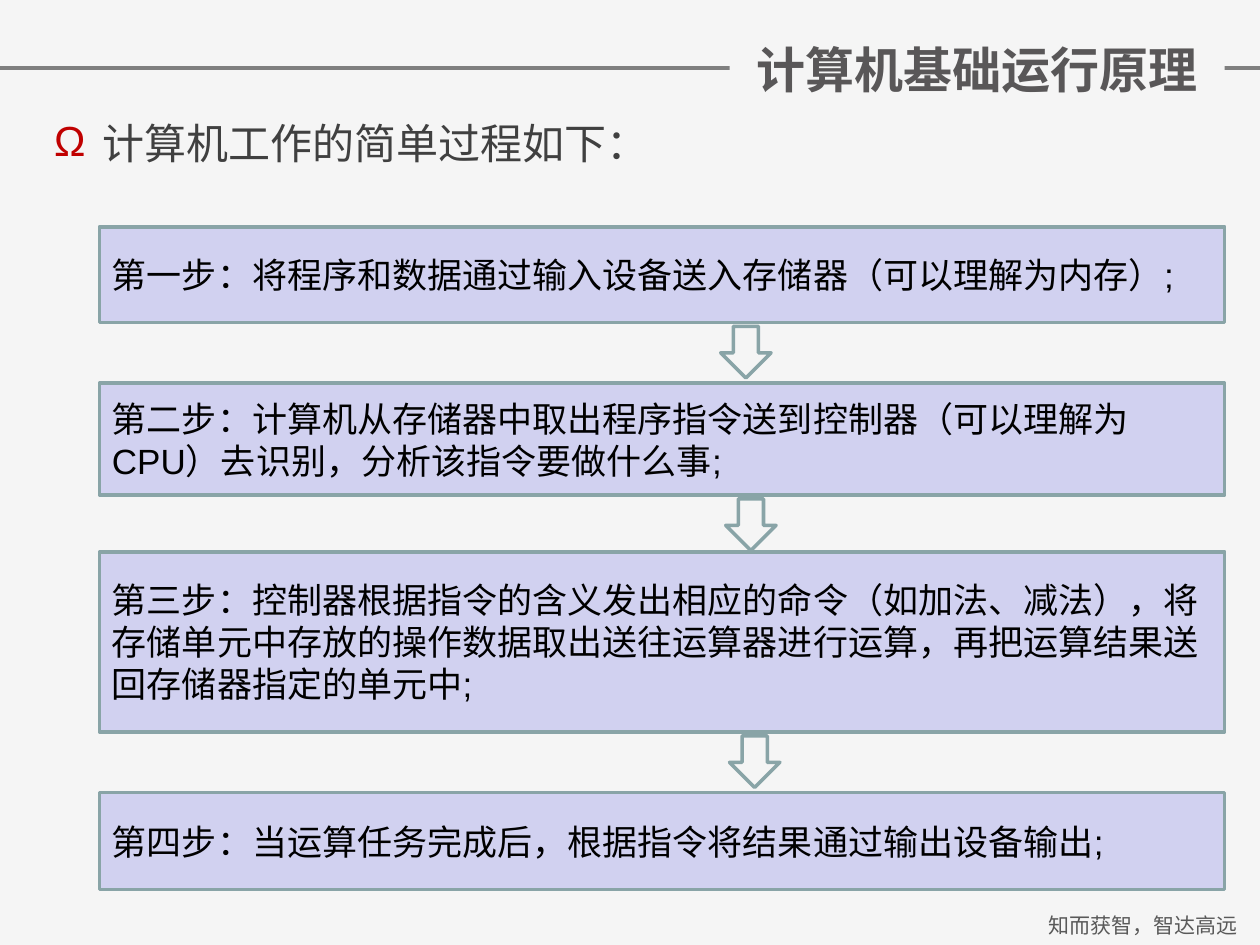
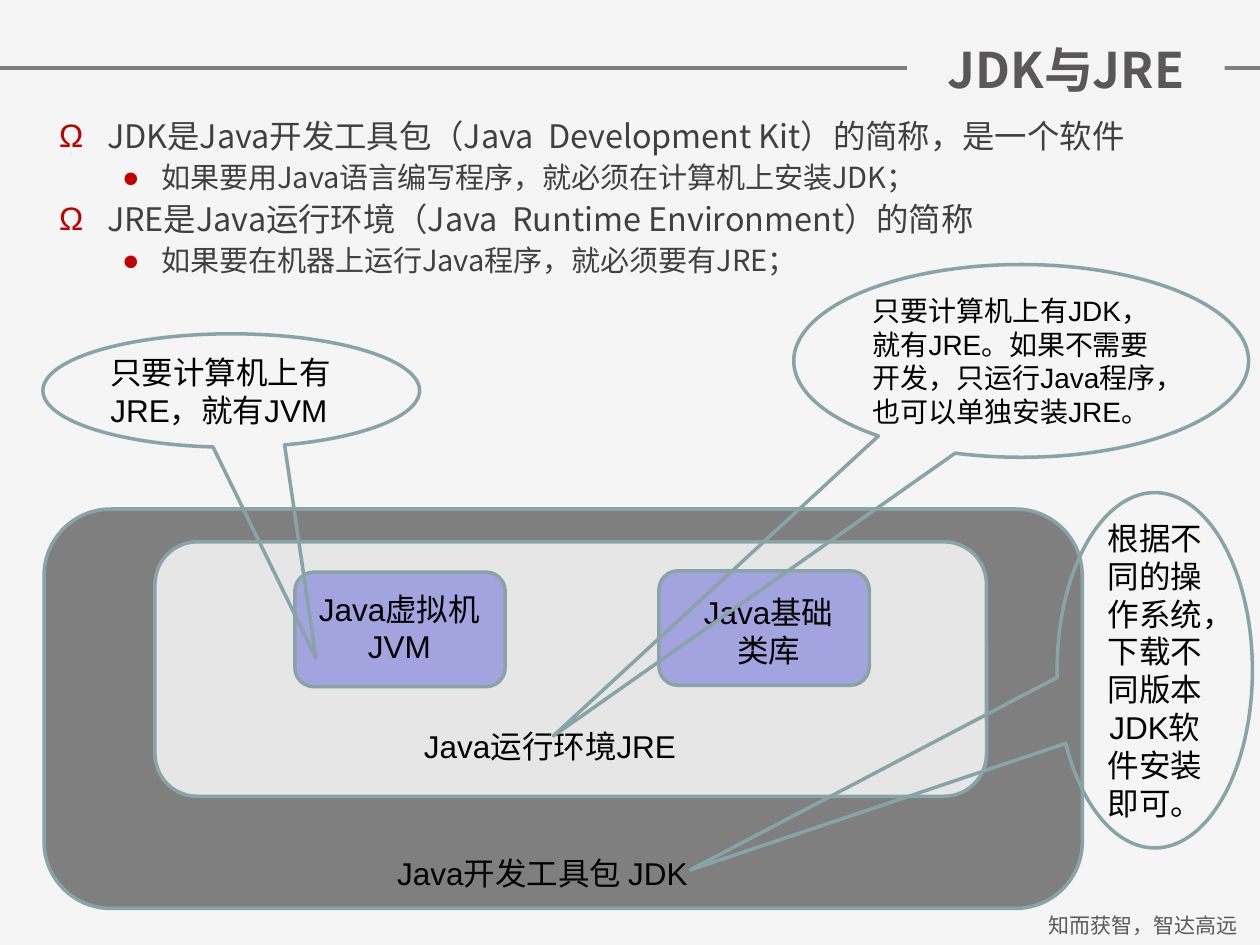
from lxml import etree
from pptx import Presentation
from pptx.dml.color import RGBColor
from pptx.enum.shapes import MSO_CONNECTOR, MSO_SHAPE
from pptx.enum.text import MSO_ANCHOR, MSO_AUTO_SIZE, PP_ALIGN
from pptx.oxml.ns import qn
from pptx.util import Inches, Pt

LEFT, CENTER = PP_ALIGN.LEFT, PP_ALIGN.CENTER
TOP, MIDDLE = MSO_ANCHOR.TOP, MSO_ANCHOR.MIDDLE
RECTANGLE, ROUNDED = MSO_SHAPE.RECTANGLE, MSO_SHAPE.ROUNDED_RECTANGLE
DOWN_ARROW, CALLOUT = MSO_SHAPE.DOWN_ARROW, MSO_SHAPE.OVAL_CALLOUT

TITLE_FONT, BODY_FONT = "Noto Sans CJK SC", "Arial"
BACKGROUND, RULE, OUTLINE, BULLET = "F5F5F5", "7F7F7F", "89A4A7", "C00000"
TITLE_STYLE = {"size": 28, "font": TITLE_FONT, "color": "595758", "bold": True}
FOOTER_STYLE = {"size": 12, "font": TITLE_FONT, "color": "595959"}
BLACK = "000000"

FOOTER = "知而获智，智达高远"
TITLE_RIGHT = 9.72

PROCESS_TITLE = ("计算机基础运行原理", 3.93)
PROCESS_INTRO = [("计算机工作的简单过程如下：", 0)]
STEP_LEFT, STEP_WIDTH, STEP_FILL = 0.79, 8.93, "D1D1F0"
ARROW_SIZE, ARROW_GAP = (0.4, 0.41), 0.03
# text, top, height, left of the arrow that follows
STEPS = [
    ("第一步：将程序和数据通过输入设备送入存储器（可以理解为内存）;", 1.8, 0.76, 5.72),
    ("第二步：计算机从存储器中取出程序指令送到控制器（可以理解为CPU）去识别，分析该指令要做什么事;",
     3.04, 0.89, 5.76),
    ("第三步：控制器根据指令的含义发出相应的命令（如加法、减法），将存储单元中存放的操作数据"
     "取出送往运算器进行运算，再把运算结果送回存储器指定的单元中;", 4.38, 1.43, 5.79),
    ("第四步：当运算任务完成后，根据指令将结果通过输出设备输出;", 6.29, 0.77, None),
]

JDK_TITLE = ("JDK与JRE", 2.52)
JDK_POINTS = [
    ("JDK是Java开发工具包（Java  Development Kit）的简称，是一个软件", 0),
    ("如果要用Java语言编写程序，就必须在计算机上安装JDK；", 1),
    ("JRE是Java运行环境（Java  Runtime Environment）的简称", 0),
    ("如果要在机器上运行Java程序，就必须要有JRE；", 1),
]
NESTED_PANELS = [
    ((0.35, 4.04, 8.24, 3.17), "7F7F7F"),
    ((1.23, 4.3, 6.6, 2.02), "E6E6E6"),
    ((2.34, 4.54, 1.67, 0.91), "A3A3E0"),
    ((5.23, 4.53, 1.67, 0.91), "A3A3E0"),
]
PANEL_LABELS = [
    (["Java开发工具包 JDK"], (2.58, 6.73, 3.45, 0.4)),
    (["Java运行环境JRE"], (2.64, 5.72, 3.45, 0.4)),
    (["Java虚拟机", "JVM"], (2.4, 4.63, 1.54, 0.7)),
    (["Java基础类库"], (5.46, 4.66, 1.28, 0.7)),
]
# text, place, pointer offset, size, alignment
CALLOUTS = [
    ("只要计算机上有JRE，就有JVM", (0.34, 2.65, 2.99, 0.9), (0.225, 2.359), 18, LEFT),
    ("只要计算机上有JDK，就有JRE。如果不需要开发，只运行Java程序，也可以单独安装JRE。",
     (6.3, 2.1, 3.61, 1.53), (-1.029, 1.946), 16, LEFT),
    ("根据不同的操作系统，下载不同版本JDK软件安装即可。",
     (8.39, 3.91, 1.55, 2.82), (-2.379, 0.562), 18, CENTER),
]

# level formats: (indent, hanging, bullet)
LEVELS = [(0.38, 0.38, "Ω"), (0.81, 0.31, "●")]
# per-level (size, space before), then line spacing
LARGE_LIST = ([(24, 6)], 1.0)
COMPACT_LIST = ([(18.5, 5), (16.6, 4.5)], 0.9)


def rgb(value):
    return RGBColor.from_string(value)


def set_all(target, formats):
    for name, value in formats.items():
        setattr(target, name, value)


def place(shape, box):
    set_all(shape, dict(zip(("left", "top", "width", "height"), map(Inches, box))))


def style_span(span, size, font, color, bold=False):
    set_all(span.font, {"size": Pt(size), "name": font, "bold": bold})
    span.font.color.rgb = rgb(color)
    properties = span.font._element
    etree.SubElement(properties, qn("a:ea"), typeface=TITLE_FONT)


def write(shape, lines, style, align=LEFT, anchor=MIDDLE):
    """Fill a shape with one paragraph per line and return the paragraphs."""
    frame = shape.text_frame
    set_all(frame, {
        "word_wrap": True, "auto_size": MSO_AUTO_SIZE.NONE, "vertical_anchor": anchor,
        "margin_left": Inches(0.1), "margin_right": Inches(0.1),
        "margin_top": Inches(0.05), "margin_bottom": Inches(0.05),
    })
    frame.text = "\n".join(lines)
    for para in frame.paragraphs:
        para.alignment = align
        for span in para.runs:
            style_span(span, **style)
    return frame.paragraphs


def add_label(page, lines, box, style):
    label = page.shapes.add_textbox(*map(Inches, box))
    write(label, lines, style, CENTER, TOP)


def add_outlined(page, kind, box, fill=None, adjustments=()):
    shape = page.shapes.add_shape(kind, *map(Inches, box))
    shape.shadow.inherit = False
    if fill:
        shape.fill.solid()
        shape.fill.fore_color.rgb = rgb(fill)
    else:
        shape.fill.background()
    shape.line.color.rgb = rgb(OUTLINE)
    shape.line.width = Pt(2)
    for index, value in enumerate(adjustments):
        shape.adjustments[index] = value
    return shape


def add_rule_behind(page):
    rule = page.shapes.add_connector(
        MSO_CONNECTOR.STRAIGHT, 0, Inches(0.54), Inches(10), Inches(0.54))
    rule.line.color.rgb = rgb(RULE)
    rule.line.width = Pt(2)
    etree.SubElement(rule.element.spPr, qn("a:effectLst"))
    rule.element.getparent().insert(2, rule.element)


def add_page(deck, title_text, title_width):
    page = deck.slides.add_slide(deck.slide_layouts[1])
    page.background.fill.solid()
    page.background.fill.fore_color.rgb = rgb(BACKGROUND)
    add_rule_behind(page)
    add_label(page, [FOOTER], (8.15, 7.19, 1.85, 0.3), FOOTER_STYLE)
    title = page.shapes.title
    place(title, (TITLE_RIGHT - title_width, 0.26, title_width, 0.57))
    title.fill.solid()
    title.fill.fore_color.rgb = rgb(BACKGROUND)
    write(title, [title_text], TITLE_STYLE, CENTER)
    return page


def fill_list(page, points, box, list_format):
    body = page.placeholders[1]
    place(body, box)
    sizes, line_spacing = list_format
    style = {"size": sizes[0][0], "font": TITLE_FONT, "color": "404040"}
    paras = write(body, [text for text, _ in points], style, anchor=TOP)
    for para, (_, level) in zip(paras, points):
        size, space_before = sizes[level]
        indent, hanging, bullet = LEVELS[level]
        set_all(para, {"level": level, "line_spacing": line_spacing,
                       "space_before": Pt(space_before), "space_after": Pt(0)})
        para.runs[0].font.size = Pt(size)
        properties = para._p.get_or_add_pPr()
        properties.set("marL", str(Inches(indent)))
        properties.set("indent", str(-Inches(hanging)))
        color = etree.SubElement(properties, qn("a:buClr"))
        etree.SubElement(color, qn("a:srgbClr"), val=BULLET)
        etree.SubElement(properties, qn("a:buFont"), typeface=BODY_FONT)
        etree.SubElement(properties, qn("a:buChar"), char=bullet)


def body_style(size):
    return {"size": size, "font": BODY_FONT, "color": BLACK}


def build_process_page(deck):
    page = add_page(deck, *PROCESS_TITLE)
    fill_list(page, PROCESS_INTRO, (0.33, 0.88, 9.39, 0.67), LARGE_LIST)
    for text, top, height, arrow_left in STEPS:
        step = add_outlined(page, RECTANGLE, (STEP_LEFT, top, STEP_WIDTH, height), STEP_FILL)
        write(step, [text], body_style(20))
        if arrow_left:
            add_outlined(page, DOWN_ARROW, (arrow_left, top + height + ARROW_GAP, *ARROW_SIZE))


def build_jdk_page(deck):
    page = add_page(deck, *JDK_TITLE)
    fill_list(page, JDK_POINTS, (0.37, 0.91, 9.35, 1.7), COMPACT_LIST)
    for box, fill in NESTED_PANELS:
        add_outlined(page, ROUNDED, box, fill)
    for lines, box in PANEL_LABELS:
        add_label(page, lines, box, body_style(18))
    for text, box, pointer, size, align in CALLOUTS:
        callout = add_outlined(page, CALLOUT, box, adjustments=pointer)
        write(callout, [text], body_style(size), align)


def main():
    deck = Presentation()
    set_all(deck, {"slide_width": Inches(10), "slide_height": Inches(7.5)})
    build_process_page(deck)
    build_jdk_page(deck)
    deck.save("out.pptx")


if __name__ == "__main__":
    main()
